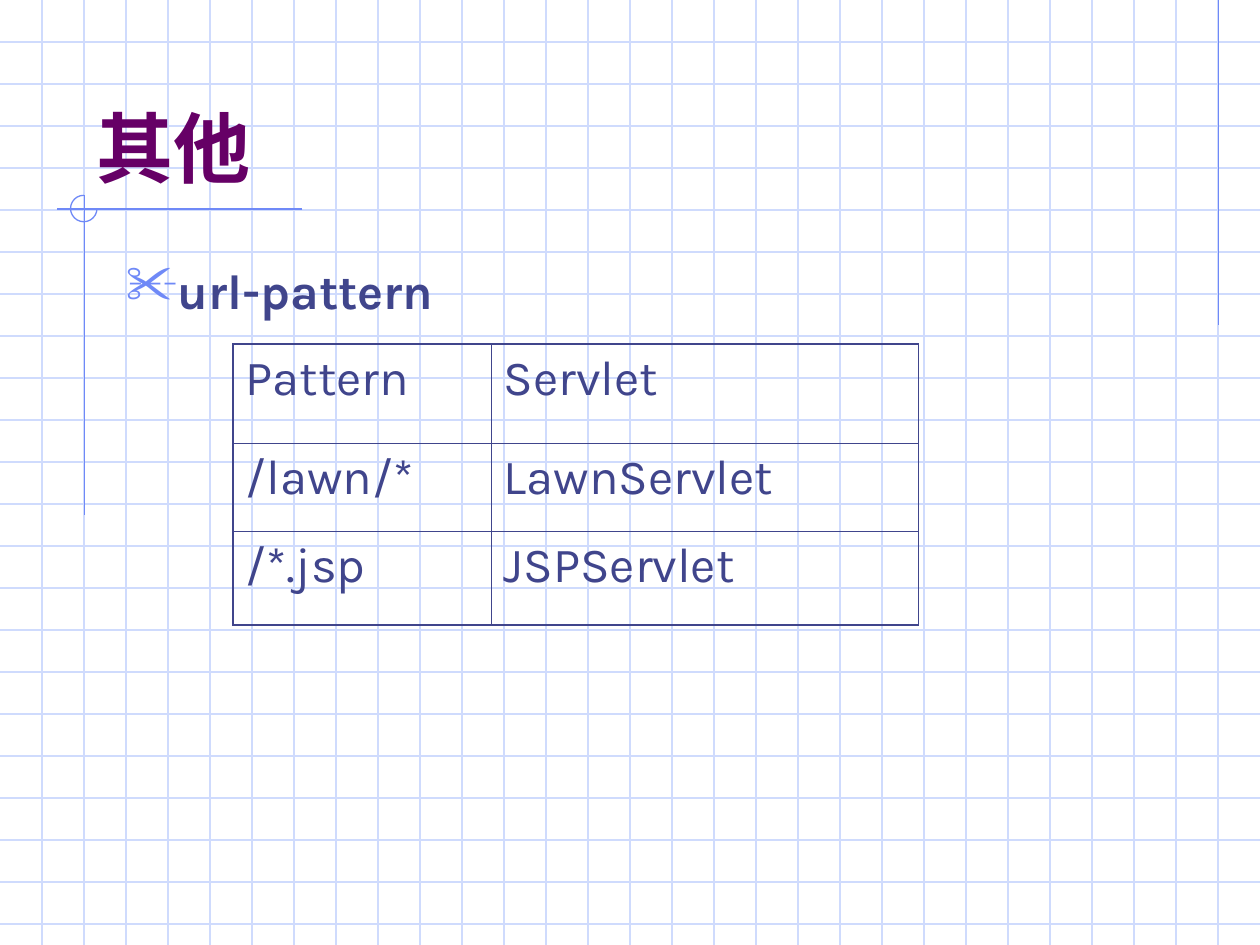
from lxml.etree import SubElement
from pptx import Presentation
from pptx.dml.color import RGBColor
from pptx.enum.shapes import MSO_CONNECTOR, MSO_SHAPE
from pptx.enum.text import MSO_ANCHOR
from pptx.oxml import parse_xml
from pptx.oxml.ns import nsdecls, qn
from pptx.util import Inches, Pt

GRID = RGBColor(0xCF, 0xDB, 0xFD)
BLUE = RGBColor(0x6F, 0x89, 0xF7)
INK = RGBColor(0x40, 0x45, 0x8C)
PLUM = RGBColor(0x66, 0x00, 0x66)
FONT = "Karla"
WIDE, HIGH = 10, 7.5
THICK, THIN = 1.08, 0.45


class Deck:
    def __init__(self):
        self.file = Presentation()
        self.file.slide_width = Inches(WIDE)
        self.file.slide_height = Inches(HIGH)
        self.slide = self.file.slides.add_slide(self.file.slide_layouts[6])
        self.shapes = self.slide.shapes

    def style(self, para, size, color, bold=False):
        for run in para.runs:
            run.font.name = FONT
            run.font.size = Pt(size)
            run.font.bold = bold
            run.font.color.rgb = color

    def line(self, x1, y1, x2, y2, color):
        line = self.shapes.add_connector(
            MSO_CONNECTOR.STRAIGHT, Inches(x1), Inches(y1), Inches(x2), Inches(y2))
        line.line.color.rgb = color
        line.line.width = Pt(0.75)
        SubElement(line._element.spPr, qn("a:effectLst"))

    def arc(self, x, y, size, color):
        arc = self.shapes.add_shape(
            MSO_SHAPE.ARC, Inches(x), Inches(y), Inches(size), Inches(size))
        # Clockwise from the right to the top, in units of 100000
        arc.adjustments[0] = 0
        arc.adjustments[1] = 162
        arc.shadow.inherit = False
        arc.fill.background()
        arc.line.color.rgb = color
        arc.line.width = Pt(0.75)

    def text(self, x, y, w, h, words, size, color, anchor=MSO_ANCHOR.TOP):
        box = self.shapes.add_textbox(Inches(x), Inches(y), Inches(w), Inches(h))
        frame = box.text_frame
        frame.word_wrap = True
        frame.vertical_anchor = anchor
        frame.text = words
        para = frame.paragraphs[0]
        self.style(para, size, color, bold=True)
        return para

    def bullet(self, para, mark, color, indent):
        para.space_before = Pt(7)
        props = para._p.get_or_add_pPr()
        props.set("marL", str(Inches(indent)))
        props.set("indent", str(-Inches(indent)))
        tint = SubElement(props, qn("a:buClr"))
        SubElement(tint, qn("a:srgbClr"), val=str(color))
        SubElement(props, qn("a:buSzPct"), val="110000")
        SubElement(props, qn("a:buChar"), char=mark)

    def border(self, cell, widths):
        props = cell._tc.get_or_add_tcPr()
        for i, (side, width) in enumerate(zip("LRTB", widths)):
            props.insert(i, parse_xml(
                f'<a:ln{side} {nsdecls("a")} w="{Pt(width)}"><a:solidFill>'
                f'<a:srgbClr val="{INK}"/></a:solidFill></a:ln{side}>'))

    def table(self, x, y, cols, rows, data, rules):
        table = self.shapes.add_table(
            len(rows), len(cols), Inches(x), Inches(y),
            Inches(sum(cols)), Inches(sum(rows))).table
        table.first_row = table.horz_banding = False
        for col, width in zip(table.columns, cols):
            col.width = Inches(width)
        for row, height in zip(table.rows, rows):
            row.height = Inches(height)
        across, down = rules
        for r, words in enumerate(data):
            for c, word in enumerate(words):
                cell = table.cell(r, c)
                cell.fill.background()
                self.border(cell, across[c:c + 2] + down[r:r + 2])
                para = cell.text_frame.paragraphs[0]
                para.text = word
                para.space_before = Pt(7)
                self.style(para, 28, INK)


def main():
    deck = Deck()

    # Graph paper, three squares to the inch
    for i in range(1, 23):
        deck.line(0, i / 3, WIDE, i / 3, GRID)
    for i in range(1, 30):
        deck.line(i / 3, 0, i / 3, HIGH, GRID)

    # Accent lines and corner mark
    deck.line(9.67, 0, 9.67, 2.58, BLUE)
    deck.line(2.4, 1.66, 0.45, 1.66, BLUE)
    deck.line(0.67, 1.55, 0.67, 4.09, BLUE)
    deck.arc(0.56, 1.55, 0.21, BLUE)

    # Title and heading
    deck.text(0.67, 0.33, 8.5, 1.25, "其他", 44, PLUM, MSO_ANCHOR.BOTTOM)
    head = deck.text(0.9, 2.02, 4.17, 0.79, "url-pattern", 28, INK)
    deck.bullet(head, "✂", BLUE, 0.38)

    # Pattern table
    data = [("Pattern", "Servlet"), ("/lawn/*", "LawnServlet"), ("/*.jsp", "JSPServlet")]
    rules = [THICK, THIN, THICK], [THICK, THICK, THIN, THICK]
    deck.table(1.85, 2.73, [2.05, 3.39], [0.79, 0.7, 0.74], data, rules)

    deck.file.save("out.pptx")


if __name__ == "__main__":
    main()
